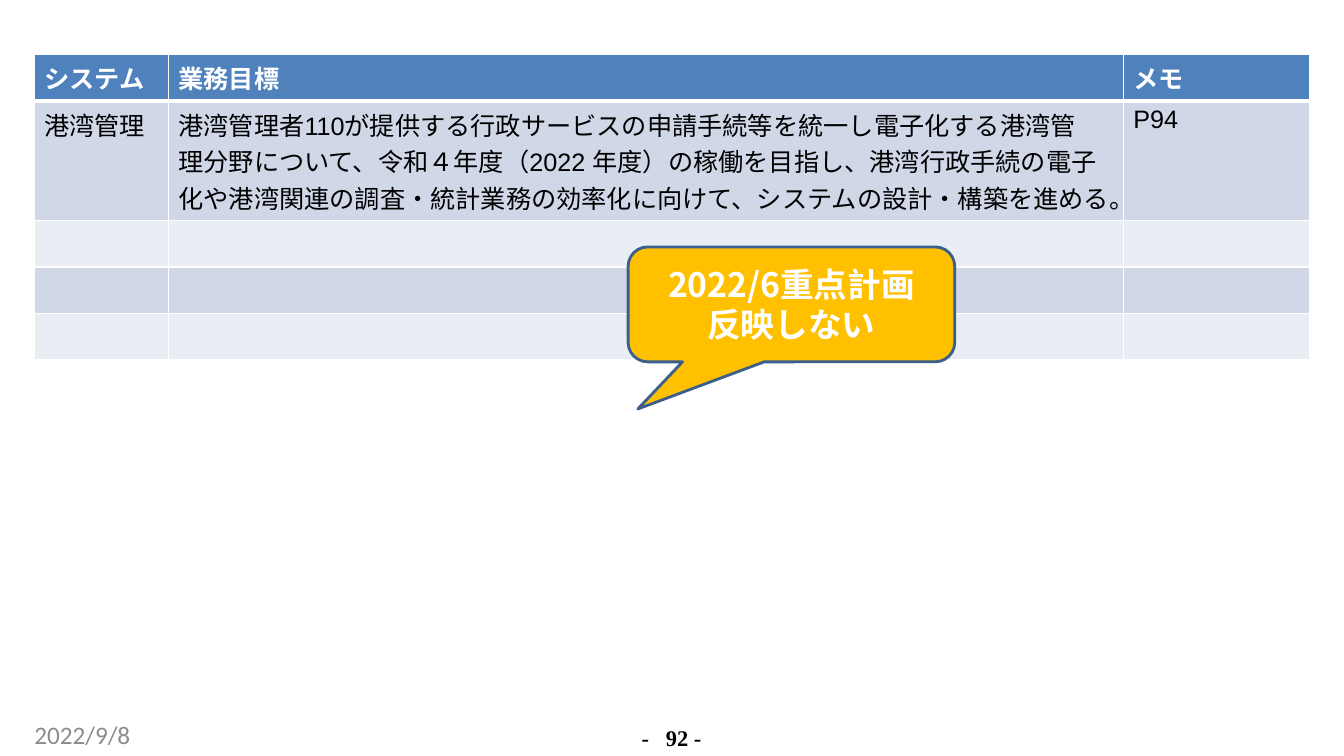
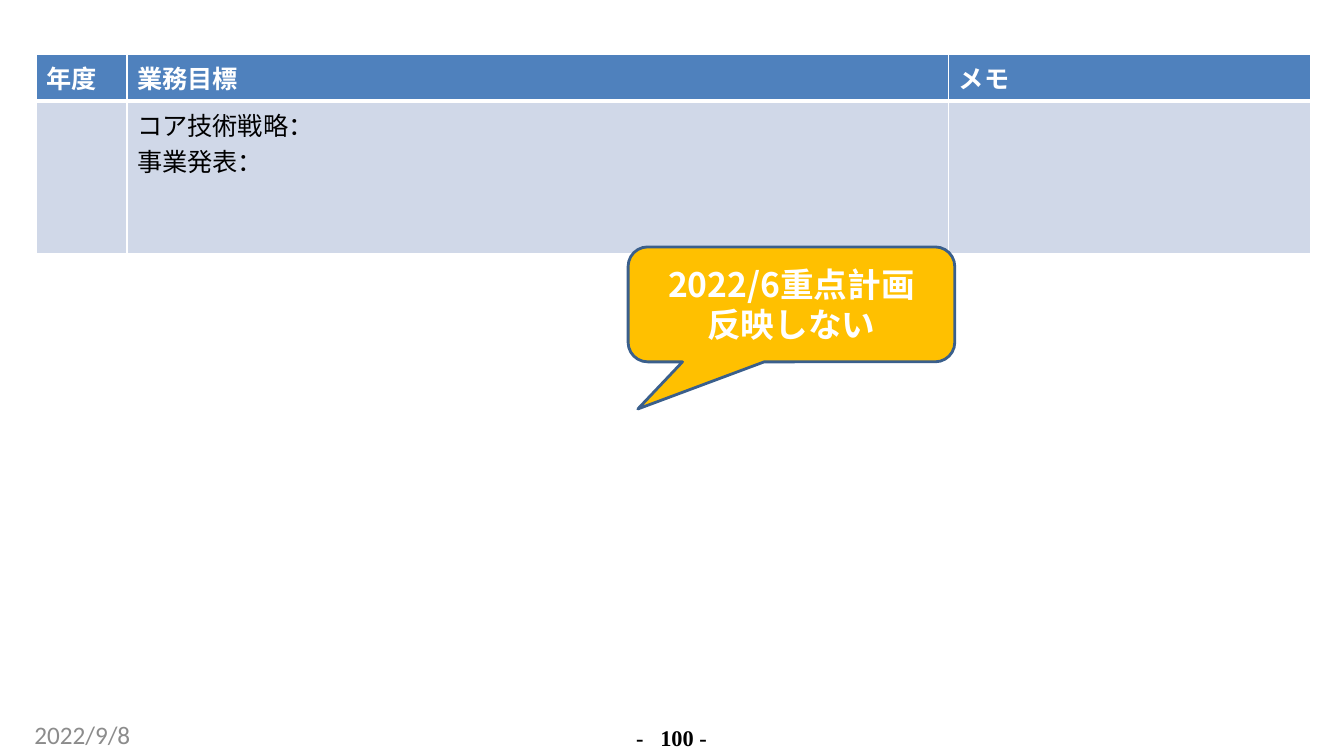
"""Build two slides of yearly work targets, each with a table, a callout and a footer."""
from lxml import etree
from pptx import Presentation
from pptx.dml.color import RGBColor
from pptx.enum.shapes import MSO_SHAPE
from pptx.enum.text import MSO_ANCHOR, PP_ALIGN
from pptx.oxml.ns import qn
from pptx.util import Inches, Pt

WHITE = RGBColor(0xFF, 0xFF, 0xFF)
BLACK = RGBColor(0, 0, 0)
GREY = RGBColor(0x8C, 0x8C, 0x8C)
HEADER_BLUE = RGBColor(0x4F, 0x81, 0xBD)
BANDS = [RGBColor(0xD0, 0xD8, 0xE8), RGBColor(0xE9, 0xED, 0xF4)]
AMBER = RGBColor(0xFF, 0xC0, 0x00)
OUTLINE_BLUE = RGBColor(0x3A, 0x5F, 0x8C)

PAGES = [
    {
        "number": 92,
        "left": 0.34,
        "columns": [1.33, 9.47, 1.85],
        "heights": [0.46, 1.18, 0.46, 0.46, 0.46],
        "rows": [
            ["システム", "業務目標", "メモ"],
            [
                "港湾管理",
                "港湾管理者110が提供する行政サービスの申請手続等を統一し電子化する港湾管\n"
                "理分野について、令和４年度（2022 年度）の稼働を目指し、港湾行政手続の電子化や"
                "港湾関連の調査・統計業務の効率化に向けて、システムの設計・構築を進める。",
                "P94",
            ],
            ["", "", ""],
            ["", "", ""],
            ["", "", ""],
        ],
    },
    {
        "number": 100,
        "left": 0.36,
        "columns": [0.9, 8.15, 3.59],
        "heights": [0.46, 1.52],
        "rows": [
            ["年度", "業務目標", "メモ"],
            ["", "コア技術戦略：\n事業発表：", ""],
        ],
    },
]


def style_text(frame, font_name, size, color, bold=False, align=PP_ALIGN.LEFT):
    for paragraph in frame.paragraphs:
        paragraph.alignment = align
        font = paragraph.font
        font.name, font.size, font.bold = font_name, Pt(size), bold
        font.color.rgb = color


def add_footer_box(slide, text, left, top, width, height):
    footer = slide.shapes.add_textbox(Inches(left), Inches(top), Inches(width), Inches(height))
    frame = footer.text_frame
    frame.word_wrap = True
    frame.margin_left = frame.margin_top = frame.margin_right = frame.margin_bottom = 0
    frame.text = text
    return frame


prs = Presentation()
prs.slide_width, prs.slide_height = Inches(13.33), Inches(7.5)

for page in PAGES:
    slide = prs.slides.add_slide(prs.slide_layouts[6])

    rows, columns, heights = page["rows"], page["columns"], page["heights"]
    targets = slide.shapes.add_table(
        len(rows), len(columns), Inches(page["left"]), Inches(0.54),
        Inches(sum(columns)), Inches(sum(heights)),
    ).table
    for column, width in zip(targets.columns, columns):
        column.width = Inches(width)
    for r, (texts, height) in enumerate(zip(rows, heights)):
        targets.rows[r].height = Inches(height)
        is_header = r == 0
        for c, text in enumerate(texts):
            cell = targets.cell(r, c)
            cell.text = text
            style_text(cell.text_frame, "Arial", 18, WHITE if is_header else BLACK, is_header)
            thick_side = {0: "lnB", 1: "lnT"}.get(r)
            for side in ("lnL", "lnR", "lnT", "lnB"):
                border = etree.SubElement(cell._tc.get_or_add_tcPr(), qn(f"a:{side}"))
                border.set("w", str(Pt(3 if side == thick_side else 1)))
                border_fill = etree.SubElement(border, qn("a:solidFill"))
                etree.SubElement(border_fill, qn("a:srgbClr")).set("val", str(WHITE))
            cell.fill.solid()
            cell.fill.fore_color.rgb = HEADER_BLUE if is_header else BANDS[(r - 1) % 2]

    page_number = add_footer_box(slide, f"-\t{page['number']} -", 6.23, 7.19, 0.86, 0.25)
    paragraph = page_number.paragraphs[0]
    paragraph.line_spacing = Pt(18.4)
    tab_list = etree.SubElement(paragraph._p.get_or_add_pPr(), qn("a:tabLst"))
    tab_stop = etree.SubElement(tab_list, qn("a:tab"))
    tab_stop.set("pos", str(Inches(0.24)))
    tab_stop.set("algn", "l")
    style_text(page_number, "Times New Roman", 16, BLACK, True, PP_ALIGN.CENTER)

    date = add_footer_box(slide, "2022/9/8", 0.34, 7.14, 3.07, 0.3)
    style_text(date, "Calibri", 18, GREY)

    callout = slide.shapes.add_shape(
        MSO_SHAPE.ROUNDED_RECTANGULAR_CALLOUT, Inches(6.23), Inches(2.45), Inches(3.24), Inches(1.14)
    )
    callout.shadow.inherit = False
    for index, value in enumerate([-0.47, 0.91, 0.17]):
        callout.adjustments[index] = value
    callout.fill.solid()
    callout.fill.fore_color.rgb = AMBER
    callout.line.color.rgb = OUTLINE_BLUE
    callout.line.width = Pt(2)
    callout.text_frame.text = "2022/6重点計画\n反映しない"
    callout.text_frame.vertical_anchor = MSO_ANCHOR.MIDDLE
    style_text(callout.text_frame, "Noto Sans CJK JP", 24, WHITE, True, PP_ALIGN.CENTER)

prs.save("out.pptx")
